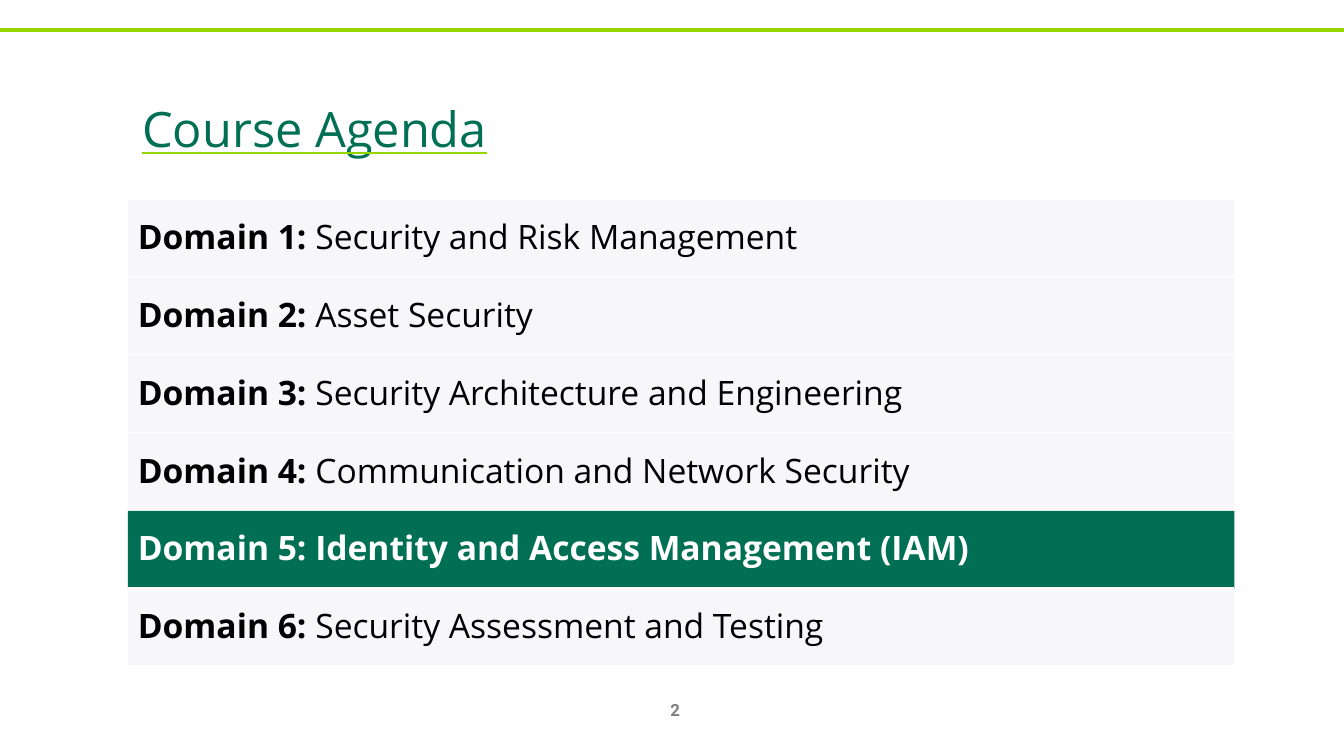
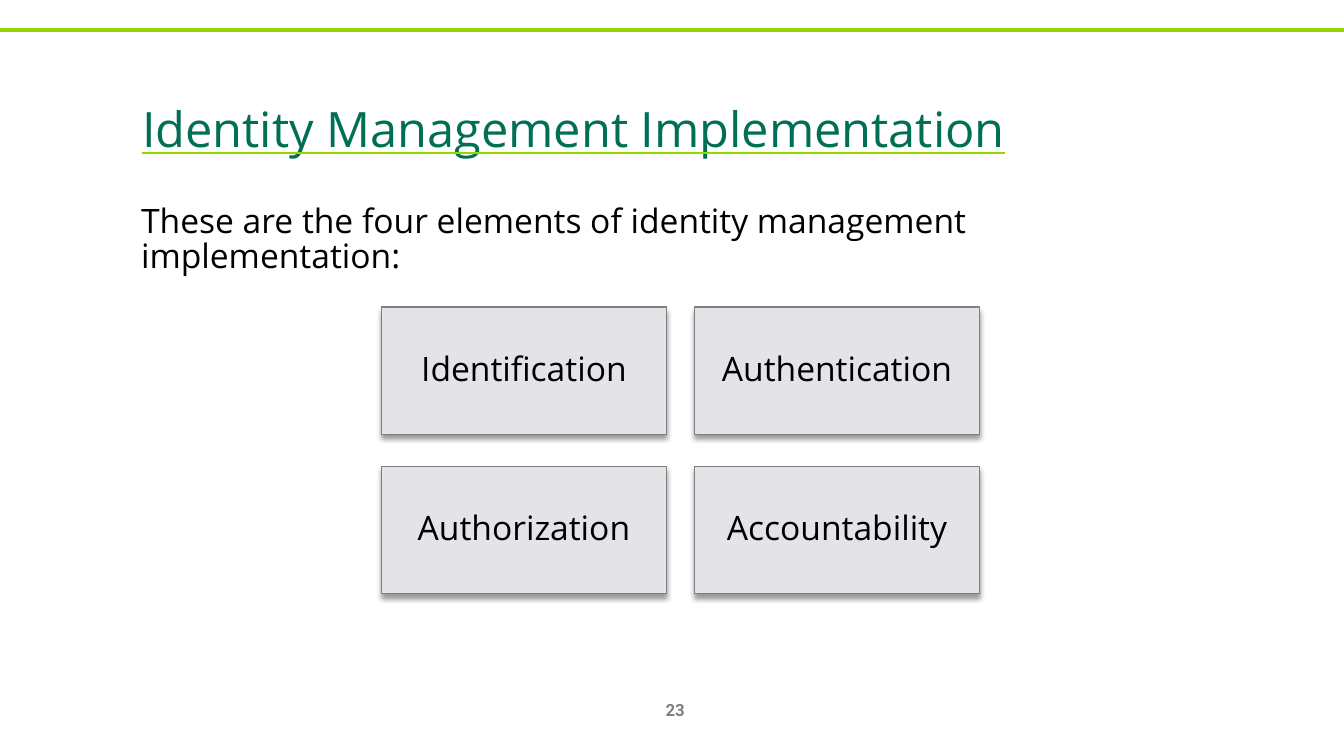
from dataclasses import dataclass
from typing import Any

from lxml.etree import SubElement
from pptx import Presentation
from pptx.dml.color import RGBColor
from pptx.enum.shapes import MSO_AUTO_SHAPE_TYPE as ShapeType, MSO_CONNECTOR_TYPE as ConnectorType
from pptx.enum.text import MSO_AUTO_SIZE as AutoSize, MSO_VERTICAL_ANCHOR as Anchor, PP_PARAGRAPH_ALIGNMENT as Align
from pptx.oxml import parse_xml
from pptx.oxml.ns import nsdecls, qn
from pptx.util import Pt

COLORS = {
    "green": "006F53",
    "lime": "95D600",
    "row": "F7F7F9",
    "box": "E4E3E8",
    "outline": "7F7F7F",
    "number": "808080",
    "black": "000000",
    "white": "FFFFFF",
}
SLIDE_WIDTH, SLIDE_HEIGHT = 960, 540
BODY_FONT = {"name": "Open Sans", "size": Pt(24)}
TITLE_FONT = {"name": "Open Sans", "size": Pt(60), "underline": True}
NUMBER_FONT = {"name": "Roboto", "size": Pt(12), "bold": True}


@dataclass(frozen=True)
class Box:
    left: float
    top: float
    width: float
    height: float

    def lengths(self) -> list[int]:
        return [Pt(value) for value in (self.left, self.top, self.width, self.height)]


@dataclass(frozen=True)
class Domain:
    label: str
    name: str
    current: bool = False


DOMAINS = [
    Domain("Domain 1: ", "Security and Risk Management"),
    Domain("Domain 2: ", "Asset Security"),
    Domain("Domain 3: ", "Security Architecture and Engineering"),
    Domain("Domain 4: ", "Communication and Network Security"),
    Domain("Domain 5: ", "Identity and Access Management (IAM)", current=True),
    Domain("Domain 6: ", "Security Assessment and Testing"),
]
ELEMENTS = ["Identification", "Authentication", "Authorization", "Accountability"]
AGENDA = Box(91.4, 142.6, 790.4, 333.6)
FIRST_ELEMENT = Box(272.6, 219.4, 203.4, 90.8)
ELEMENT_COLUMNS, COLUMN_STEP, ROW_STEP = 2, 223.6, 113.8


def color(name: str) -> RGBColor:
    return RGBColor.from_string(COLORS[name])


def apply(target: Any, values: dict[str, Any]) -> None:
    for name, value in values.items():
        setattr(target, name, value)


def place(shape: Any, box: Box) -> None:
    apply(shape, dict(zip(("left", "top", "width", "height"), box.lengths())))


def format_frame(frame: Any, anchor: Any, inset: float | None = None) -> None:
    apply(frame, {"word_wrap": True, "auto_size": AutoSize.NONE, "vertical_anchor": anchor})
    if inset is not None:
        sides = ("left", "top", "right", "bottom")
        apply(frame, {f"margin_{side}": Pt(inset) for side in sides})


def add_run(paragraph: Any, text: str, font: dict[str, Any], color_name: str) -> Any:
    run = paragraph.add_run()
    run.text = text
    apply(run.font, font)
    run.font.color.rgb = color(color_name)
    return run


def add_line(slide: Any, left: float, right: float, y: float, color_name: str, width: float) -> None:
    line = slide.shapes.add_connector(ConnectorType.STRAIGHT, Pt(left), Pt(y), Pt(right), Pt(y))
    line.line.color.rgb = color(color_name)
    line.line.width = Pt(width)
    SubElement(line._element.spPr, qn("a:effectLst"))


def add_rectangle(slide: Any, box: Box, fill: str, inset: float) -> Any:
    shape = slide.shapes.add_shape(ShapeType.RECTANGLE, *box.lengths())
    shape.shadow.inherit = False
    shape.fill.solid()
    shape.fill.fore_color.rgb = color(fill)
    shape.line.fill.background()
    format_frame(shape.text_frame, Anchor.MIDDLE, inset)
    return shape


def add_title(slide: Any, text: str, width: float) -> None:
    title = slide.shapes.title
    place(title, Box(94.3, 43.9, width, 90))
    format_frame(title.text_frame, Anchor.MIDDLE)
    paragraph = title.text_frame.paragraphs[0]
    paragraph.alignment = Align.LEFT
    properties = add_run(paragraph, text, TITLE_FONT, "green")._r.get_or_add_rPr()
    properties.set("baseline", "12000")
    underline = parse_xml(
        f'<a:uFill {nsdecls("a")}><a:solidFill><a:srgbClr val="{COLORS["lime"]}"/></a:solidFill></a:uFill>'
    )
    properties.find(qn("a:solidFill")).addnext(underline)


def add_base_slide(presentation: Any, layout_name: str, title: str, title_width: float, number: int) -> Any:
    slide = presentation.slides.add_slide(presentation.slide_layouts.get_by_name(layout_name))
    add_line(slide, 0, SLIDE_WIDTH, 21.4, "lime", 3)
    number_box = slide.shapes.add_textbox(*Box(460, 492.5, 44.6, 28.8).lengths())
    format_frame(number_box.text_frame, Anchor.MIDDLE)
    paragraph = number_box.text_frame.paragraphs[0]
    paragraph.alignment = Align.CENTER
    add_run(paragraph, str(number), NUMBER_FONT, "number")
    add_title(slide, title, title_width)
    return slide


def add_domain(slide: Any, domain: Domain, box: Box) -> None:
    row = add_rectangle(slide, box, "green" if domain.current else "row", 7.2)
    paragraph = row.text_frame.paragraphs[0]
    apply(paragraph, {"alignment": Align.LEFT, "line_spacing": 0.9})
    text_color = "white" if domain.current else "black"
    add_run(paragraph, domain.label, BODY_FONT | {"bold": True}, text_color)
    add_run(paragraph, domain.name, BODY_FONT | {"bold": domain.current}, text_color)


def add_element(slide: Any, text: str, box: Box) -> None:
    shape = add_rectangle(slide, box, "box", 5)
    shape.line.color.rgb = color("outline")
    shape.line.width = Pt(1)
    shadow = parse_xml(
        f'<a:outerShdw {nsdecls("a")} blurRad="{Pt(4)}" dist="{Pt(3)}" dir="5400000" rotWithShape="0">'
        f'<a:srgbClr val="{COLORS["black"]}"><a:alpha val="40000"/></a:srgbClr></a:outerShdw>'
    )
    shape._element.spPr.find(qn("a:effectLst")).append(shadow)
    paragraph = shape.text_frame.paragraphs[0]
    apply(paragraph, {"alignment": Align.CENTER, "line_spacing": 0.9})
    add_run(paragraph, text, BODY_FONT, "black")


def add_agenda_slide(presentation: Any) -> None:
    slide = add_base_slide(presentation, "Title Only", "Course Agenda", 682.6, 2)
    row_height = AGENDA.height / len(DOMAINS)
    right = AGENDA.left + AGENDA.width
    for index, domain in enumerate(DOMAINS):
        top = AGENDA.top + index * row_height
        add_line(slide, AGENDA.left, right, top, "white", 2)
        add_domain(slide, domain, Box(AGENDA.left, top, AGENDA.width, row_height))
    add_line(slide, AGENDA.left, right, AGENDA.top + AGENDA.height, "white", 2)


def add_implementation_slide(presentation: Any) -> None:
    slide = add_base_slide(
        presentation, "Title and Content", "Identity Management Implementation", 831.6, 23
    )
    body = slide.placeholders[1]
    place(body, Box(93.6, 142.6, 787.7, 342.7))
    format_frame(body.text_frame, Anchor.TOP)
    paragraph = body.text_frame.paragraphs[0]
    apply(paragraph, {"line_spacing": 0.88, "space_before": Pt(2)})
    properties = paragraph._p.get_or_add_pPr()
    apply_indent = {"marL": "0", "indent": "0"}
    for name, value in apply_indent.items():
        properties.set(name, value)
    SubElement(properties, qn("a:buNone"))
    add_run(
        paragraph,
        "These are the four elements of identity management implementation:",
        BODY_FONT,
        "black",
    )
    for index, text in enumerate(ELEMENTS):
        row, column = divmod(index, ELEMENT_COLUMNS)
        left = FIRST_ELEMENT.left + column * COLUMN_STEP
        top = FIRST_ELEMENT.top + row * ROW_STEP
        add_element(slide, text, Box(left, top, FIRST_ELEMENT.width, FIRST_ELEMENT.height))


def main() -> None:
    presentation = Presentation()
    apply(presentation, {"slide_width": Pt(SLIDE_WIDTH), "slide_height": Pt(SLIDE_HEIGHT)})
    add_agenda_slide(presentation)
    add_implementation_slide(presentation)
    presentation.save("out.pptx")


if __name__ == "__main__":
    main()
